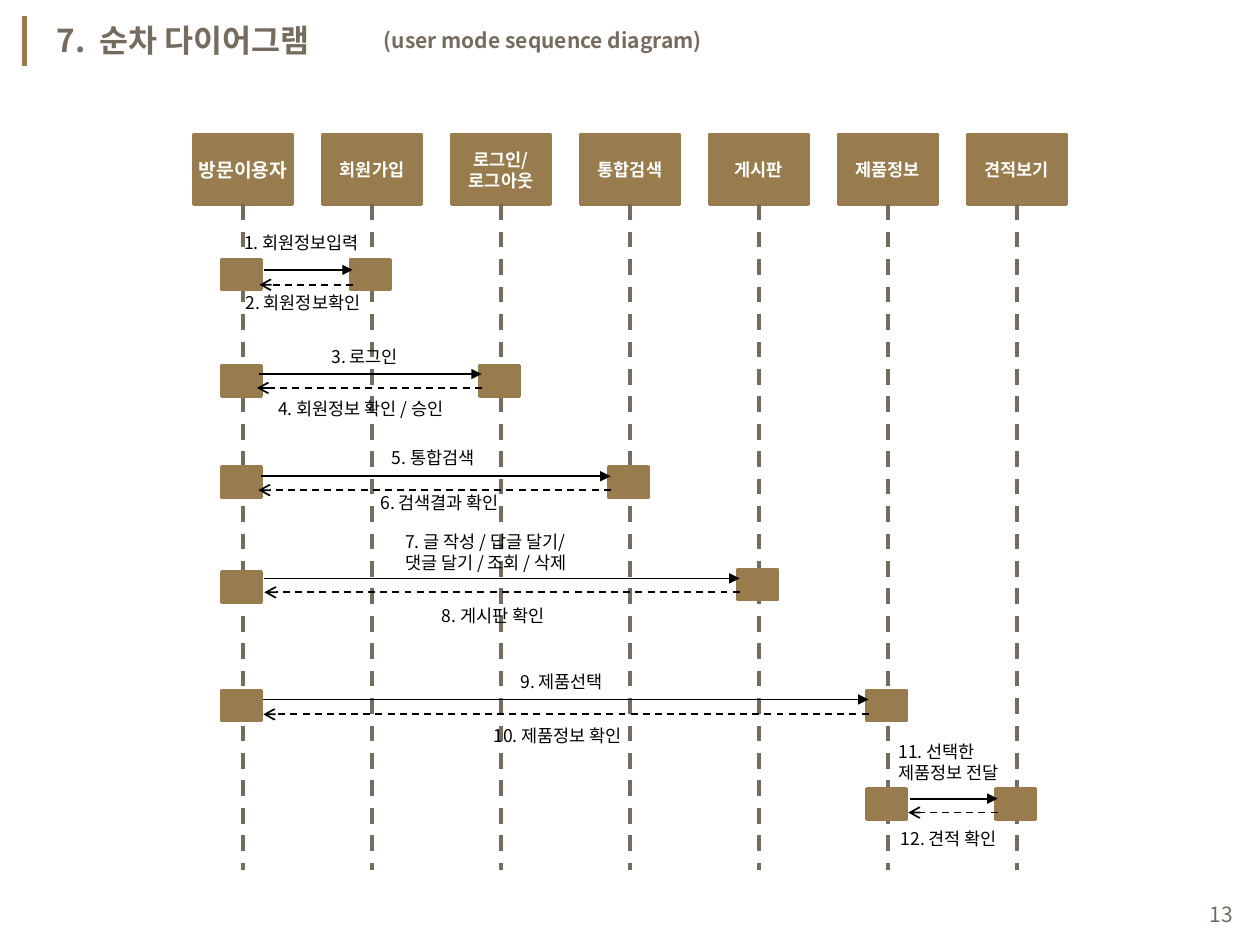
import lxml.etree
import pptx
import pptx.dml.color
import pptx.enum.dml
import pptx.enum.shapes
import pptx.enum.text
import pptx.oxml.ns
import pptx.util

Cm = pptx.util.Cm
Pt = pptx.util.Pt
RGBColor = pptx.dml.color.RGBColor
ALIGN = pptx.enum.text.PP_ALIGN
MIDDLE = pptx.enum.text.MSO_ANCHOR.MIDDLE

BRONZE = RGBColor(0x98, 0x7C, 0x4D)
TAUPE = RGBColor(0x75, 0x6B, 0x5F)
WHITE = RGBColor(0xFF, 0xFF, 0xFF)
BLACK = RGBColor(0, 0, 0)
FONT = "Noto Sans CJK KR"

# Lifelines, in centimetres
FIRST_X, STEP_X = 4.9, 2.6
HEAD_TOP, HEAD_WIDTH, HEAD_HEIGHT = 2.72, 2.0, 1.4
LIFELINE_BOTTOM = 17.53
BAR_WIDTH, BAR_HEIGHT = 0.79, 0.61

PARTICIPANTS = [
    (["방문이용자"], 11),
    (["회원가입"], 10),
    (["로그인/", "로그아웃"], 10),
    (["통합검색"], 10),
    (["게시판"], 10),
    (["제품정보"], 10),
    (["견적보기"], 10),
]

# caller, callee, caller bar top, callee bar top,
# request start x, request y, reply tip x, reply y
EXCHANGES = [
    (0, 1, 5.23, 5.23, 5.33, 5.44, 5.23, 5.74),
    (0, 2, 7.37, 7.37, 5.23, 7.54, 5.18, 7.82),
    (0, 3, 9.42, 9.42, 5.26, 9.6, 5.21, 9.88),
    (0, 4, 11.53, 11.48, 5.33, 11.66, 5.33, 11.94),
    (0, 5, 13.92, 13.92, 5.31, 14.1, 5.31, 14.4),
    (5, 6, 15.9, 15.9, 18.34, 16.1, 18.31, 16.38),
]

# left, top, width, lines
MESSAGES = [
    (4.67, 4.55, 3.05, ["1. 회원정보입력"]),
    (4.7, 5.77, 3.05, ["2. 회원정보확인"]),
    (6.43, 6.86, 1.98, ["3. 로그인"]),
    (5.36, 7.9, 4.29, ["4. 회원정보 확인 / 승인"]),
    (7.65, 8.89, 2.34, ["5. 통합검색"]),
    (7.42, 9.8, 3.18, ["6. 검색결과 확인"]),
    (7.92, 10.57, 4.27, ["7. 글 작성 / 답글 달기/", "댓글 달기 / 조회 / 삭제"]),
    (8.66, 12.07, 2.82, ["8. 게시판 확인"]),
    (10.24, 13.41, 2.34, ["9. 제품선택"]),
    (9.7, 14.5, 3.38, ["10. 제품정보 확인"]),
    (17.86, 14.81, 2.77, ["11. 선택한", "제품정보 전달"]),
    (17.91, 16.56, 2.67, ["12. 견적 확인"]),
]


def center_x(column):
    return FIRST_X + column * STEP_X


def add_child(parent, tag, **attributes):
    return lxml.etree.SubElement(parent, pptx.oxml.ns.qn(tag), attributes)


def write_lines(frame, lines, size, color, bold=False, align=ALIGN.LEFT):
    """Put each line in its own paragraph."""
    for index, line in enumerate(lines):
        para = frame.add_paragraph() if index else frame.paragraphs[0]
        para.alignment = align
        span = para.add_run()
        span.text = line
        span.font.size = Pt(size)
        span.font.bold = bold
        span.font.color.rgb = color
        span.font.name = FONT
        add_child(span.font._element, "a:ea", typeface=FONT)


def add_text(page, left, top, width, height, lines, size, color,
             bold=False, align=ALIGN.LEFT, wrap=True):
    box = page.shapes.add_textbox(Cm(left), Cm(top), Cm(width), Cm(height))
    frame = box.text_frame
    frame.word_wrap = wrap
    write_lines(frame, lines, size, color, bold, align)
    return frame


def add_block(page, left, top, width, height):
    block = page.shapes.add_shape(
        pptx.enum.shapes.MSO_SHAPE.RECTANGLE,
        Cm(left), Cm(top), Cm(width), Cm(height))
    block.shadow.inherit = False
    block.fill.solid()
    block.fill.fore_color.rgb = BRONZE
    block.line.color.rgb = BRONZE
    block.line.width = Pt(2)
    return block


def add_line(page, start, end, color, width, dashed=False, head=None):
    line = page.shapes.add_connector(
        pptx.enum.shapes.MSO_CONNECTOR.STRAIGHT,
        Cm(start[0]), Cm(start[1]), Cm(end[0]), Cm(end[1]))
    line.line.color.rgb = color
    line.line.width = Pt(width)
    if dashed:
        line.line.dash_style = pptx.enum.dml.MSO_LINE.DASH
    if head:
        add_child(line.line._get_or_add_ln(), "a:tailEnd", type=head)
    add_child(line._element.spPr, "a:effectLst")


def add_participant(page, column, lines, size):
    x = center_x(column)
    head = add_block(page, x - HEAD_WIDTH / 2, HEAD_TOP, HEAD_WIDTH, HEAD_HEIGHT)
    frame = head.text_frame
    frame.margin_left = frame.margin_right = 0
    frame.margin_top = frame.margin_bottom = 0
    frame.vertical_anchor = MIDDLE
    frame.word_wrap = True
    write_lines(frame, lines, size, WHITE, bold=True, align=ALIGN.CENTER)
    add_line(page, (x, HEAD_TOP + HEAD_HEIGHT), (x, LIFELINE_BOTTOM),
             TAUPE, 2.25, dashed=True)


def add_exchange(page, caller, callee, caller_top, callee_top,
                 request_x, request_y, reply_x, reply_y):
    """Two activation bars with a request arrow and a dashed reply."""
    for column, top in ((caller, caller_top), (callee, callee_top)):
        add_block(page, center_x(column) - 0.42, top, BAR_WIDTH, BAR_HEIGHT)
    callee_x = center_x(callee) - 0.39
    add_line(page, (request_x, request_y), (callee_x, request_y),
             BLACK, 1, head="triangle")
    add_line(page, (callee_x, reply_y), (reply_x, reply_y),
             BLACK, 1, dashed=True, head="arrow")


def main():
    deck = pptx.Presentation()
    deck.slide_width, deck.slide_height = Cm(25.4), Cm(19.05)
    page = deck.slides.add_slide(deck.slide_layouts[6])

    add_line(page, (0.5, 0.33), (0.5, 1.33), BRONZE, 3)
    add_text(page, 0.89, 0.3, 8.15, 1.02, ["7.  순차 다이어그램"], 18, TAUPE, bold=True)
    add_text(page, 7.49, 0.43, 8, 0.76, ["(user mode sequence diagram)"],
             12, TAUPE, bold=True)
    number = add_text(page, 19.18, 17.91, 5.92, 1.02, ["13"], 12, TAUPE,
                      align=ALIGN.RIGHT)
    number.vertical_anchor = MIDDLE

    for column, (lines, size) in enumerate(PARTICIPANTS):
        add_participant(page, column, lines, size)
    for exchange in EXCHANGES:
        add_exchange(page, *exchange)
    for left, top, width, lines in MESSAGES:
        height = 0.25 + 0.43 * len(lines)
        add_text(page, left, top, width, height, lines, 10, BLACK, wrap=False)

    deck.save("out.pptx")


if __name__ == "__main__":
    main()
